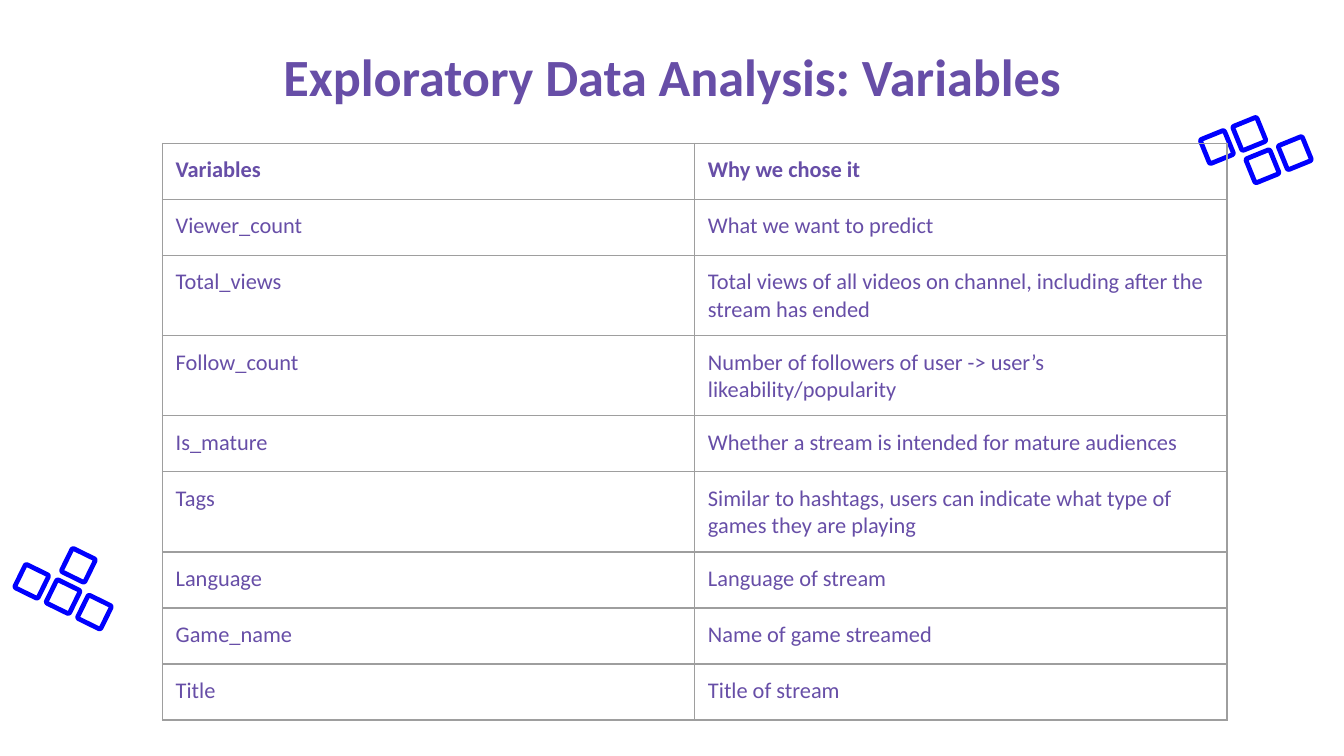
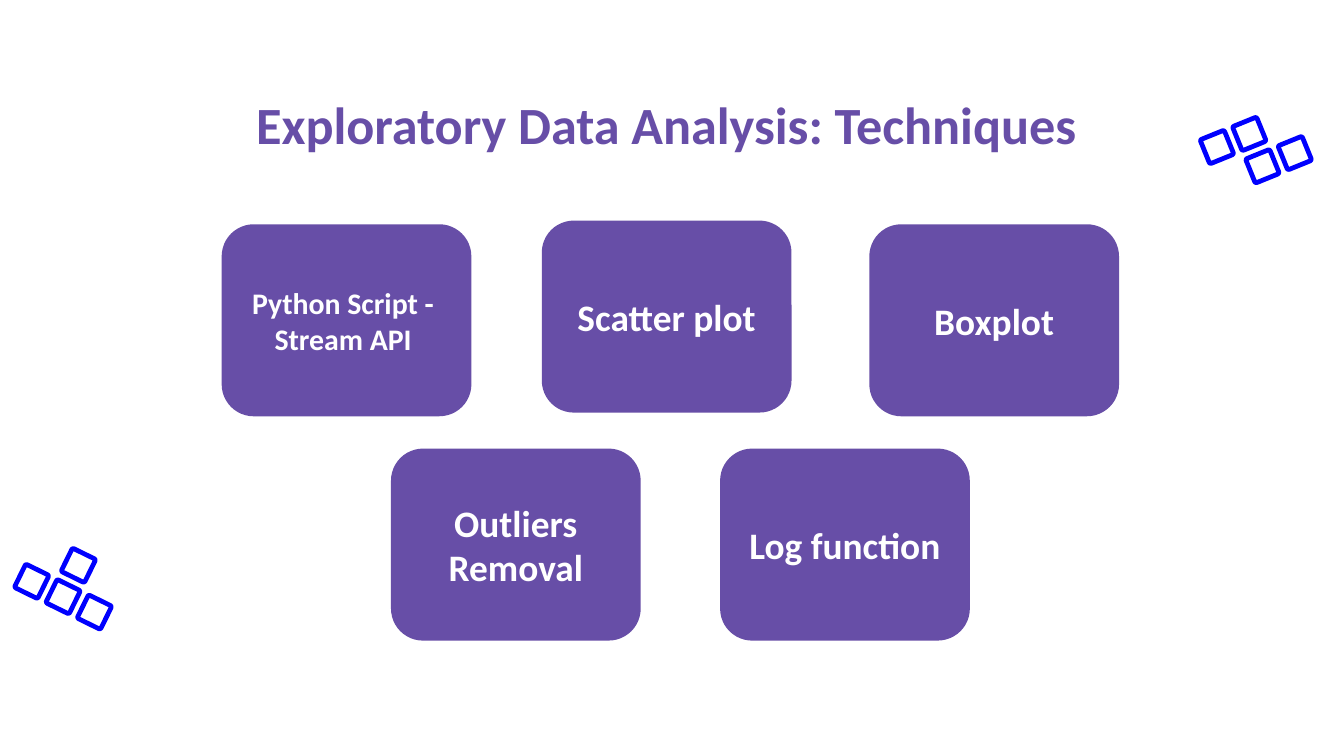
from dataclasses import dataclass
from math import cos, pi, radians, sin

from lxml.etree import SubElement
from pptx import Presentation
from pptx.dml.color import RGBColor
from pptx.enum.shapes import MSO_SHAPE
from pptx.enum.text import MSO_ANCHOR, PP_ALIGN
from pptx.oxml.ns import qn
from pptx.util import Cm, Pt


@dataclass(frozen=True)
class Theme:
    purple: str = "674EA7"
    blue: str = "0000FE"
    white: str = "FFFFFF"
    grey: str = "9E9E9E"
    font: str = "Calibri"
    head: int = 28
    card: int = 20
    small: int = 16
    body: int = 12
    rule: float = 0.75
    pad: float = 0.25


@dataclass(frozen=True)
class Box:
    left: float
    top: float
    width: float
    height: float

    def cut(self, x, y, width, height):
        """Return a box placed relative to this one."""
        return Box(self.left + x, self.top + y, width, height)

    def lengths(self):
        return [Cm(v) for v in (self.left, self.top, self.width, self.height)]


THEME = Theme()
PAGE = Box(0, 0, 25.4, 14.29)
SIDES = ("left", "right", "top", "bottom")

ROWS = [
    ("Variables", "Why we chose it"),
    ("Viewer_count", "What we want to predict"),
    ("Total_views", "Total views of all videos on channel, including after the stream has ended"),
    ("Follow_count", "Number of followers of user -> user’s likeability/popularity"),
    ("Is_mature", "Whether a stream is intended for mature audiences"),
    ("Tags", "Similar to hashtags, users can indicate what type of games they are playing"),
    ("Language", "Language of stream"),
    ("Game_name", "Name of game streamed"),
    ("Title", "Title of stream"),
]

# Left, top, text and size of each card
CARDS = [
    (0, 0.07, "Python Script - \nStream API ", THEME.small),
    (6.05, 0, "Scatter plot", THEME.card),
    (12.24, 0.07, "Boxplot", THEME.card),
    (3.2, 4.31, "Outliers Removal", THEME.card),
    (9.42, 4.31, "Log function", THEME.card),
]

# Centre of the first tile, turn in degrees, and grid steps of the tiles
TILES = [
    (0.6, 10.99, 26.1, [(0, 0), (1, 0), (2, 0), (1, -1)]),
    (23, 2.78, 337.9, [(0, 0), (1, 0), (1, 1), (2, 1)]),
]


def tint(name):
    return RGBColor.from_string(name)


def write(frame, text, *, size, color=THEME.purple, bold=False,
          align=PP_ALIGN.LEFT):
    frame.word_wrap = True
    for i, line in enumerate(text.split("\n")):
        para = frame.paragraphs[0] if i == 0 else frame.add_paragraph()
        para.alignment = align
        run = para.add_run()
        run.text = line
        font = run.font
        font.name, font.size, font.bold = THEME.font, Pt(size), bold
        font.color.rgb = tint(color)


def inset(target):
    """Set equal margins on a text frame or a table cell."""
    for side in SIDES:
        setattr(target, f"margin_{side}", Cm(THEME.pad))


def paint(shape, color):
    shape.shadow.inherit = False
    shape.fill.solid()
    shape.fill.fore_color.rgb = tint(color)
    shape.line.fill.background()


def curve(x, y, half, radius, steps=5):
    """Return the points of a square with rounded corners."""
    points = []
    for turn, (sx, sy) in enumerate([(1, 1), (-1, 1), (-1, -1), (1, -1)]):
        for i in range(steps + 1):
            angle = (turn + i / steps) * pi / 2
            points.append((Cm(x + sx * (half - radius) + radius * cos(angle)),
                           Cm(y + sy * (half - radius) + radius * sin(angle))))
    return points


def add_tile(shapes, x, y, turn):
    """Draw a hollow square centred on x, y."""
    half, hole = 0.29, 0.2
    outer = curve(x, y, half, 0.08)
    inner = [(Cm(x + a * hole), Cm(y + b * hole))
             for a, b in [(1, 1), (1, -1), (-1, -1), (-1, 1)]]
    pen = shapes.build_freeform(*outer[0])
    pen.add_line_segments(outer[1:], close=True)
    pen.move_to(*inner[0])
    pen.add_line_segments(inner[1:], close=True)
    tile = pen.convert_to_shape()
    tile.rotation = turn
    paint(tile, THEME.blue)


def add_tiles(slide, box, step=0.66):
    for x, y, turn, grid in TILES:
        group = slide.shapes.add_group_shape()
        c, s = cos(radians(turn)), sin(radians(turn))
        for col, row in grid:
            add_tile(group.shapes,
                     box.left + x + step * (col * c - row * s),
                     box.top + y + step * (col * s + row * c), turn)


def add_title(slide, box, text):
    frame = slide.shapes.add_textbox(*box.lengths()).text_frame
    inset(frame)
    write(frame, text, size=THEME.head, bold=True, align=PP_ALIGN.CENTER)


def add_rules(cell):
    """Draw the same line on all four sides of a cell."""
    props = cell._tc.get_or_add_tcPr()
    for side in "LRTB":
        line = SubElement(props, qn(f"a:ln{side}"), w=str(Pt(THEME.rule)))
        fill = SubElement(line, qn("a:solidFill"))
        SubElement(fill, qn("a:srgbClr"), val=THEME.grey)


def add_grid(slide, box):
    table = slide.shapes.add_table(len(ROWS), 2, *box.lengths()).table
    table.first_row = table.horz_banding = False
    for r, texts in enumerate(ROWS):
        for c, text in enumerate(texts):
            cell = table.cell(r, c)
            inset(cell)
            add_rules(cell)
            cell.fill.background()
            write(cell.text_frame, text, size=THEME.body, bold=r == 0)


def add_cards(slide, box):
    for x, y, text, size in CARDS:
        place = box.cut(x, y, 4.72, 3.63)
        card = slide.shapes.add_shape(MSO_SHAPE.ROUNDED_RECTANGLE,
                                      *place.lengths())
        card.adjustments[0] = 0.167
        paint(card, THEME.purple)
        frame = card.text_frame
        inset(frame)
        frame.vertical_anchor = MSO_ANCHOR.MIDDLE
        write(frame, text, size=size, color=THEME.white, bold=True,
              align=PP_ALIGN.CENTER)


def add_slide(deck, title, top):
    """Add a slide with the shared tiles and a title at the given height."""
    slide = deck.slides.add_slide(deck.slide_layouts[6])
    slide.background.fill.solid()
    slide.background.fill.fore_color.rgb = tint(THEME.white)
    add_tiles(slide, PAGE)
    add_title(slide, PAGE.cut(1.98, top, 21.44, 1.6), title)
    return slide


def main():
    deck = Presentation()
    deck.slide_width, deck.slide_height = Cm(PAGE.width), Cm(PAGE.height)

    slide = add_slide(deck, "Exploratory Data Analysis: Variables", 0.58)
    add_grid(slide, PAGE.cut(3.07, 2.71, 20.12, 9.53))

    slide = add_slide(deck, "Exploratory Data Analysis: Techniques ", 1.5)
    add_cards(slide, PAGE.cut(4.19, 4.17, 16.96, 7.94))

    deck.save("out.pptx")


if __name__ == "__main__":
    main()
